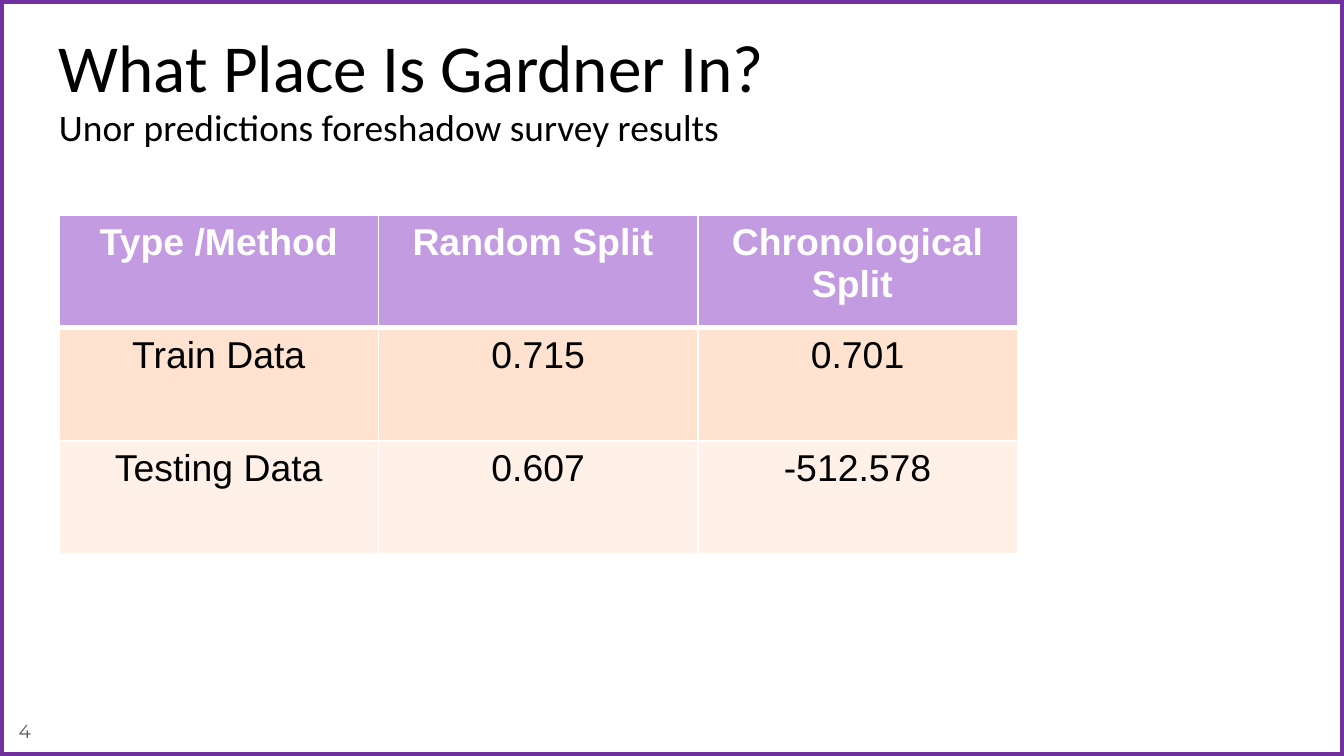
from dataclasses import dataclass

from lxml import etree
from pptx import Presentation
from pptx import util as u
from pptx.dml.color import RGBColor
from pptx.enum import shapes, text
from pptx.oxml import ns


@dataclass(frozen=True)
class Theme:
    frame: str = "7030A0"
    ink: str = "000000"
    muted: str = "595959"
    white: str = "FFFFFF"
    header: str = "C39BE1"
    bands: tuple = ("FFE2CF", "FFF1E8")
    heading_font: str = "Calibri"
    table_font: str = "Arial"
    number_font: str = "Montserrat"
    title_size: int = 36
    body_size: int = 20
    number_size: int = 10


THEME = Theme()
WIDTH = 10
HEIGHT = WIDTH * 9 / 16
RESULTS = [
    ["Type /Method", "Random Split ", "Chronological Split "],
    ["Train Data", "0.715", "0.701"],
    ["Testing Data", "0.607", "-512.578"],
]


def inches(box):
    return [u.Inches(length) for length in box]


def write(para, words, color, **formats):
    span = para.add_run()
    span.text = words
    for name, value in formats.items():
        setattr(span.font, name, value)
    span.font.color.rgb = RGBColor.from_string(color)


def add_text(page, box, words, color, inset=0.1, anchor=text.MSO_ANCHOR.TOP, **formats):
    frame = page.shapes.add_textbox(*inches(box)).text_frame
    settings = {
        "word_wrap": True,
        "vertical_anchor": anchor,
        "margin_top": u.Inches(inset),
        "margin_bottom": u.Inches(inset),
    }
    for name, value in settings.items():
        setattr(frame, name, value)
    write(frame.paragraphs[0], words, color, **formats)


def add_frame(page, box):
    border = page.shapes.add_shape(shapes.MSO_SHAPE.RECTANGLE, *inches(box))
    border.shadow.inherit = False
    border.fill.background()
    border.line.color.rgb = RGBColor.from_string(THEME.frame)
    border.line.width = u.Pt(4.5)


def add_heading(page, box):
    left, top, width, height = box
    title_height = height * 0.59
    add_text(page, (left, top, width, title_height), "What Place Is Gardner In?",
             THEME.ink, size=u.Pt(THEME.title_size), name=THEME.heading_font)
    add_text(page, (left, top + title_height, width, height - title_height),
             "Unor predictions foreshadow survey results", THEME.ink, inset=0.05,
             size=u.Pt(THEME.body_size), name=THEME.heading_font)


def set_borders(cell, widths):
    properties = cell._tc.get_or_add_tcPr()
    for index, (side, width) in enumerate(widths.items()):
        line = etree.Element(ns.qn(f"a:ln{side}"), w=str(u.Pt(width)))
        fill = etree.SubElement(line, ns.qn("a:solidFill"))
        etree.SubElement(fill, ns.qn("a:srgbClr"), val=THEME.white)
        properties.insert(index, line)


def add_results(page, box):
    rows, columns = len(RESULTS), len(RESULTS[0])
    table = page.shapes.add_table(rows, columns, *inches(box)).table
    for row, values in enumerate(RESULTS):
        is_header = row == 0
        fill = THEME.header if is_header else THEME.bands[(row - 1) % 2]
        color = THEME.white if is_header else THEME.ink
        # The header is set off by a heavier rule
        widths = {"L": 1, "R": 1, "T": 3 if row == 1 else 1, "B": 3 if is_header else 1}
        for column, value in enumerate(values):
            cell = table.cell(row, column)
            cell.fill.solid()
            cell.fill.fore_color.rgb = RGBColor.from_string(fill)
            set_borders(cell, widths)
            para = cell.text_frame.paragraphs[0]
            para.alignment = text.PP_ALIGN.CENTER
            write(para, value, color, bold=is_header,
                  size=u.Pt(THEME.body_size), name=THEME.table_font)


def add_page_number(page, box):
    add_text(page, box, "4", THEME.muted, anchor=text.MSO_ANCHOR.MIDDLE,
             size=u.Pt(THEME.number_size), name=THEME.number_font)


def main():
    deck = Presentation()
    deck.slide_width, deck.slide_height = inches((WIDTH, HEIGHT))
    page = deck.slides.add_slide(deck.slide_layouts[6])
    page.background.fill.solid()
    page.background.fill.fore_color.rgb = RGBColor.from_string(THEME.white)

    # Border, heading, table and page number, from back to front
    add_frame(page, (0, 0, WIDTH, HEIGHT))
    add_heading(page, (0.34, 0.09, 9.32, 1.08))
    add_results(page, (0.44, 1.6, 7.13, 2.52))
    add_page_number(page, (0.04, 5.31, 0.4, 0.26))
    deck.save("out.pptx")


if __name__ == "__main__":
    main()
